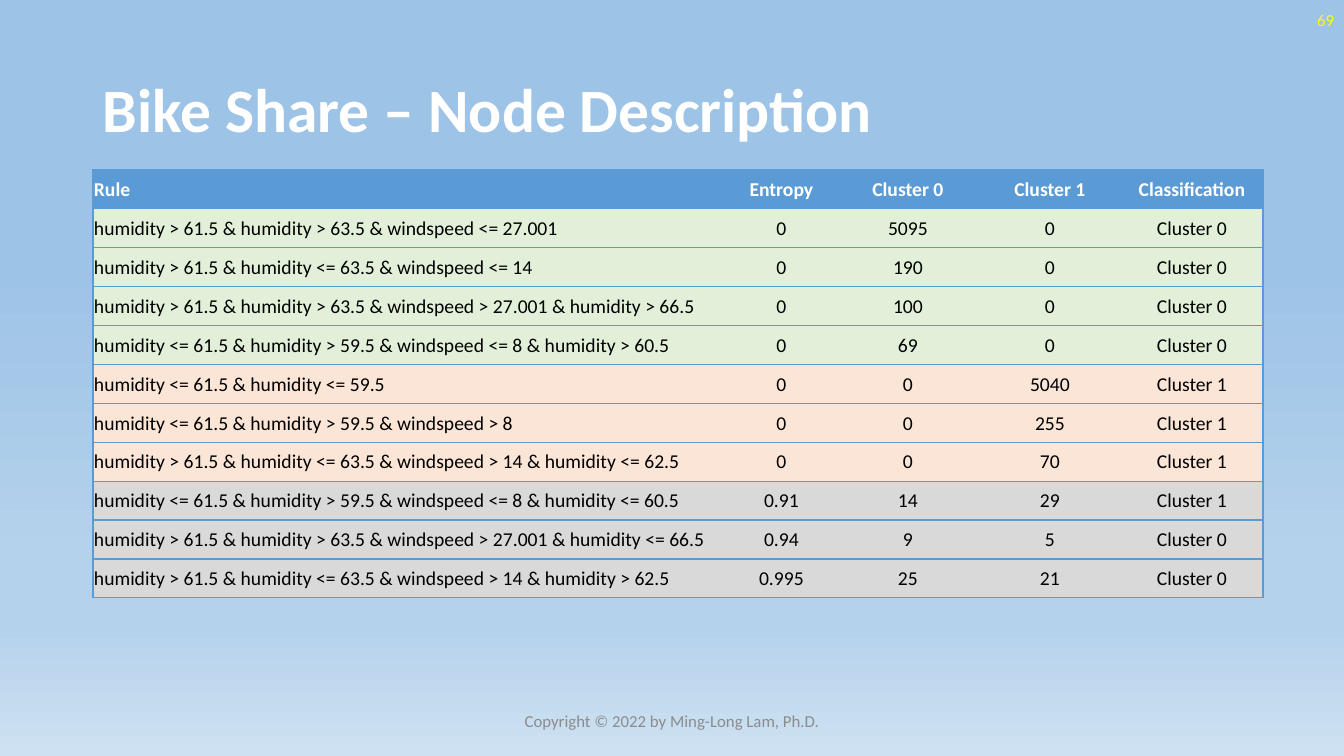
from copy import deepcopy
from dataclasses import dataclass

from pptx import Presentation
from pptx.dml.color import RGBColor as RGB
from pptx.enum.text import MSO_ANCHOR as Anchor, PP_ALIGN as Align
from pptx.oxml import parse_xml
from pptx.oxml.ns import nsdecls, qn
from pptx.util import Pt

SCALE = 914400 / 100.8


def px(n):
    return round(n * SCALE)


@dataclass(frozen=True)
class Theme:
    font: str = "Calibri"
    title: int = 44
    body: int = 14
    small: int = 12
    white: str = "FFFFFF"
    black: str = "000000"
    blue: str = "5B9BD5"
    green: str = "E2F0D9"
    peach: str = "FBE5D6"
    gray: str = "D9D9D9"
    muted: str = "8C8C8C"
    yellow: str = "FFFF00"
    sky: tuple = ((0.35, "9DC3E6"), (0.74, "B5D2EC"),
                  (0.83, "B5D2EC"), (1, "CEE1F2"))


class Deck:
    NO_STYLE = "{2D5ABB26-0587-4C30-8999-92F81FD0307C}"

    def __init__(self, theme, width, height):
        self.theme = theme
        self.prs = Presentation()
        self.prs.slide_width, self.prs.slide_height = px(width), px(height)
        self.slide = self.prs.slides.add_slide(self.prs.slide_layouts[6])

    def backdrop(self, stops):
        fill = self.slide.background.fill
        fill.gradient()
        fill.gradient_angle = 270
        group = self.slide.element.find(".//" + qn("a:gsLst"))
        while len(group) < len(stops):
            group.append(deepcopy(group[0]))
        for stop, (place, color) in zip(fill.gradient_stops, stops):
            stop.position = place
            stop.color.rgb = RGB.from_string(color)

    def label(self, para, text, size, color, align=Align.LEFT, bold=False):
        para.text = text
        para.alignment = align
        font = para.font
        font.name, font.size, font.bold = self.theme.font, Pt(size), bold
        font.color.rgb = RGB.from_string(color)

    def text(self, box, text, size, color, **style):
        frame = self.slide.shapes.add_textbox(*map(px, box)).text_frame
        frame.word_wrap = True
        frame.vertical_anchor = Anchor.MIDDLE
        para = frame.paragraphs[0]
        self.label(para, text, size, color, **style)
        return para

    def edge(self, cell, sides):
        """Draw 1 pt blue borders; sides must run in the order L, R, T, B."""
        for side in sides:
            cell._tc.get_or_add_tcPr().append(parse_xml(
                f'<a:ln{side} {nsdecls("a")} w="12700"><a:solidFill>'
                f'<a:srgbClr val="{self.theme.blue}"/>'
                f'</a:solidFill></a:ln{side}>'))

    def table(self, box, widths, rows):
        """Each row is a fill colour and its cell texts; the first is the head."""
        theme = self.theme
        table = self.slide.shapes.add_table(
            len(rows), len(widths), *map(px, box)).table
        table.first_row = table.horz_banding = False
        table._tbl.tblPr.find(qn("a:tableStyleId")).text = self.NO_STYLE
        for col, width in zip(table.columns, widths):
            col.width = px(width)
        last = len(widths) - 1
        for r, (fill, texts) in enumerate(rows):
            for c, text in enumerate(texts):
                cell = table.cell(r, c)
                cell.margin_left = cell.margin_right = cell.margin_top = px(1)
                cell.margin_bottom = 0
                cell.vertical_anchor = Anchor.MIDDLE
                self.edge(cell, {0: "LTB", last: "RTB"}.get(c, "TB"))
                cell.fill.solid()
                cell.fill.fore_color.rgb = RGB.from_string(fill)
                self.label(cell.text_frame.paragraphs[0], text, theme.body,
                           theme.black if r else theme.white,
                           align=Align.CENTER if c else Align.LEFT, bold=not r)


HEAD = ("Rule", "Entropy", "Cluster 0", "Cluster 1", "Classification")
PURE_0 = (
    ("humidity > 61.5 & humidity > 63.5 & windspeed <= 27.001",
     "0", "5095", "0", "Cluster 0"),
    ("humidity > 61.5 & humidity <= 63.5 & windspeed <= 14",
     "0", "190", "0", "Cluster 0"),
    ("humidity > 61.5 & humidity > 63.5 & windspeed > 27.001 & humidity > 66.5",
     "0", "100", "0", "Cluster 0"),
    ("humidity <= 61.5 & humidity > 59.5 & windspeed <= 8 & humidity > 60.5",
     "0", "69", "0", "Cluster 0"),
)
PURE_1 = (
    ("humidity <= 61.5 & humidity <= 59.5",
     "0", "0", "5040", "Cluster 1"),
    ("humidity <= 61.5 & humidity > 59.5 & windspeed > 8",
     "0", "0", "255", "Cluster 1"),
    ("humidity > 61.5 & humidity <= 63.5 & windspeed > 14 & humidity <= 62.5",
     "0", "0", "70", "Cluster 1"),
)
MIXED = (
    ("humidity <= 61.5 & humidity > 59.5 & windspeed <= 8 & humidity <= 60.5",
     "0.91", "14", "29", "Cluster 1"),
    ("humidity > 61.5 & humidity > 63.5 & windspeed > 27.001 & humidity <= 66.5",
     "0.94", "9", "5", "Cluster 0"),
    ("humidity > 61.5 & humidity <= 63.5 & windspeed > 14 & humidity > 62.5",
     "0.995", "25", "21", "Cluster 0"),
)


def main():
    theme = Theme()
    deck = Deck(theme, 1344, 756)
    deck.backdrop(theme.sky)
    title = deck.text((93, 40, 1159, 146), "Bike Share – Node Description",
                      theme.title, theme.white, bold=True)
    title.line_spacing = 0.9
    groups = ((theme.blue, (HEAD,)), (theme.green, PURE_0),
              (theme.peach, PURE_1), (theme.gray, MIXED))
    rows = [(fill, row) for fill, group in groups for row in group]
    deck.table((93, 170, 1170, 428), (633, 111, 142, 142, 142), rows)
    deck.text((445, 701, 454, 40), "Copyright © 2022 by Ming-Long Lam, Ph.D.",
              theme.small, theme.muted, align=Align.CENTER)
    deck.text((1042, 0, 302, 40), "69", theme.small, theme.yellow,
              align=Align.RIGHT)
    deck.prs.save("out.pptx")


if __name__ == "__main__":
    main()
